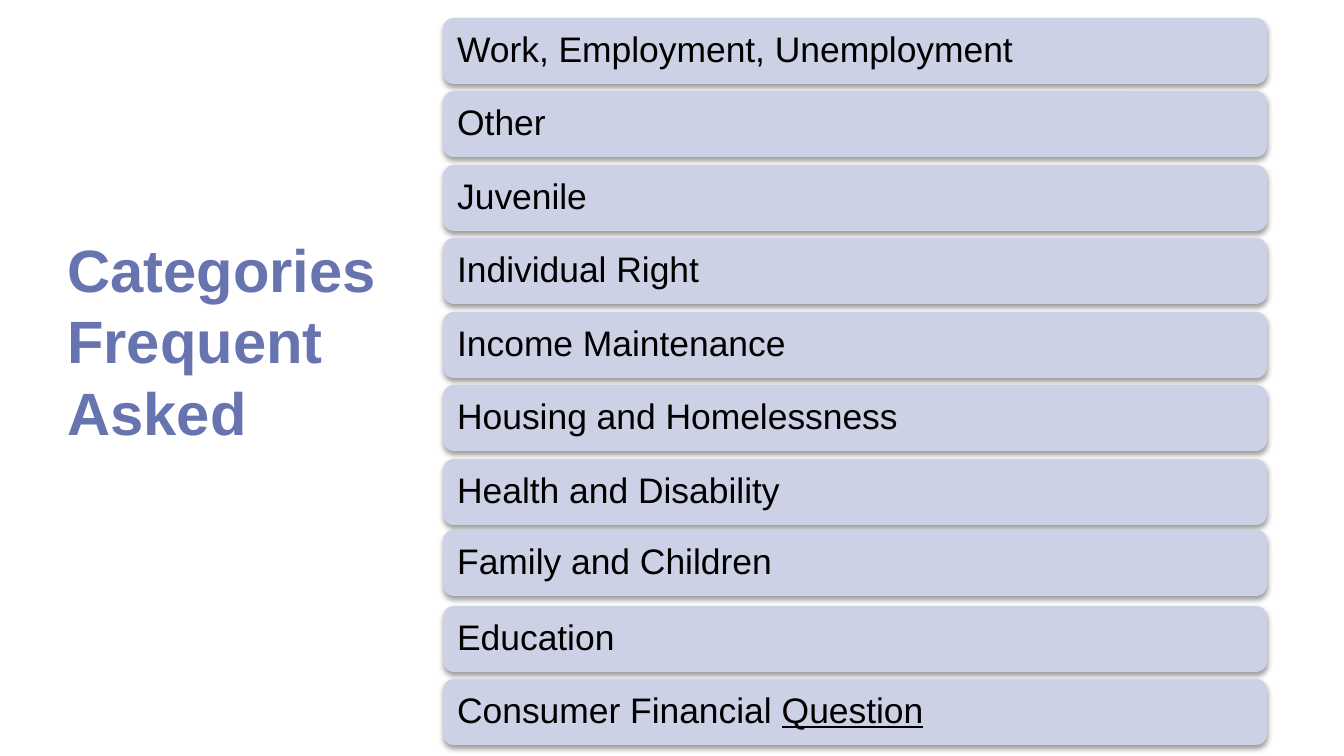
from lxml import etree
from pptx import Presentation
from pptx.dml.color import RGBColor
from pptx.enum.shapes import MSO_SHAPE
from pptx.enum.text import MSO_ANCHOR, PP_ALIGN
from pptx.oxml import parse_xml
from pptx.oxml.ns import nsdecls
from pptx.util import Emu, Pt

BLACK = RGBColor(0x00, 0x00, 0x00)
LAVENDER = RGBColor(0xCC, 0xD1, 0xE5)
INDIGO = RGBColor(0x67, 0x74, 0xB0)
FONT = "Arial"
LEFT, TOP, WIDTH, HEIGHT = 443, 18, 824, 66
LAST_TOP = 679
CATEGORIES = [
    ["Work, Employment, Unemployment"],
    ["Other"],
    ["Juvenile"],
    ["Individual Right"],
    ["Income Maintenance"],
    ["Housing and Homelessness"],
    ["Health and Disability"],
    ["Family and Children"],
    ["Education"],
    ["Consumer Financial ", "Question"],
]
NUDGES = {"Family and Children": -2}
SHADOW = (
    f'<a:effectLst {nsdecls("a")}>'
    '<a:outerShdw blurRad="39370" dist="20320" dir="5400000" rotWithShape="0">'
    '<a:srgbClr val="000000"><a:alpha val="38000"/></a:srgbClr>'
    '</a:outerShdw></a:effectLst>'
)


def px(n):
    return Emu(round(n * 9144000 / 1344))


def style(r, size, color):
    r.font.name = FONT
    r.font.size = Pt(size)
    r.font.color.rgb = color


prs = Presentation()
prs.slide_width = px(1344)
prs.slide_height = px(756)
s = prs.slides.add_slide(prs.slide_layouts[6])

pitch = (LAST_TOP - TOP) / (len(CATEGORIES) - 1)
for i, parts in enumerate(CATEGORIES):
    top = TOP + round(i * pitch) + NUDGES.get(parts[0], 0)
    sp = s.shapes.add_shape(
        MSO_SHAPE.ROUNDED_RECTANGLE, px(LEFT), px(top), px(WIDTH), px(HEIGHT)
    )
    sp.fill.solid()
    sp.fill.fore_color.rgb = LAVENDER
    sp.line.fill.background()
    sp._element.spPr.append(parse_xml(SHADOW))
    tf = sp.text_frame
    tf.word_wrap = True
    tf.vertical_anchor = MSO_ANCHOR.MIDDLE
    tf.margin_left = tf.margin_right = px(11)
    tf.margin_top = tf.margin_bottom = px(11)
    p = tf.paragraphs[0]
    p.alignment = PP_ALIGN.LEFT
    p.line_spacing = 0.9
    for part in parts:
        r = p.add_run()
        r.text = part
        style(r, 19, BLACK)
        r.font.underline = part == "Question"

title = s.shapes.add_textbox(px(54), px(226), px(371), px(231))
tf = title.text_frame
tf.word_wrap = True
tf.text = "Categories Frequent Asked"
r = tf.paragraphs[0].runs[0]
style(r, 32, INDIGO)
r.font.bold = True

prs.save("out.pptx")
